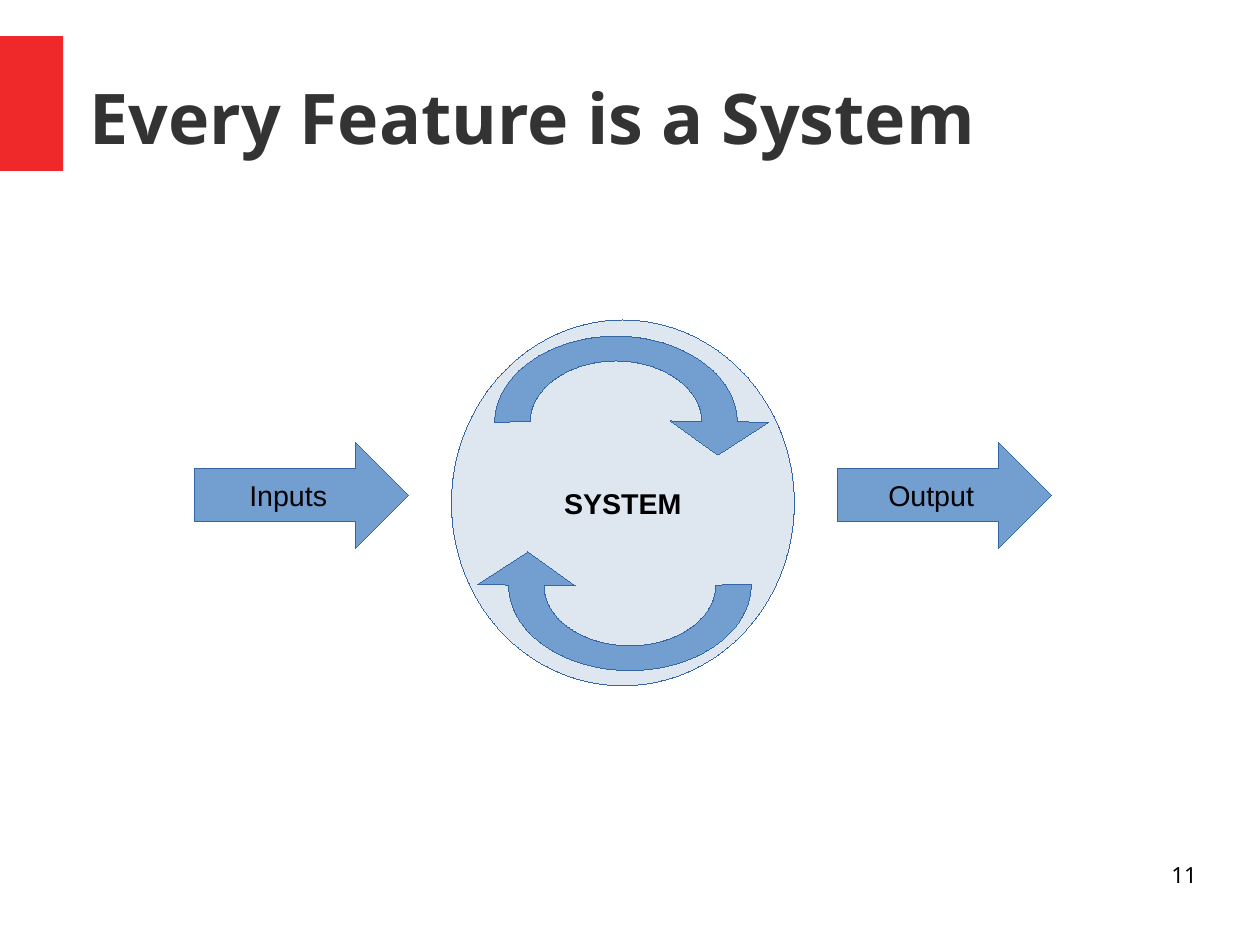
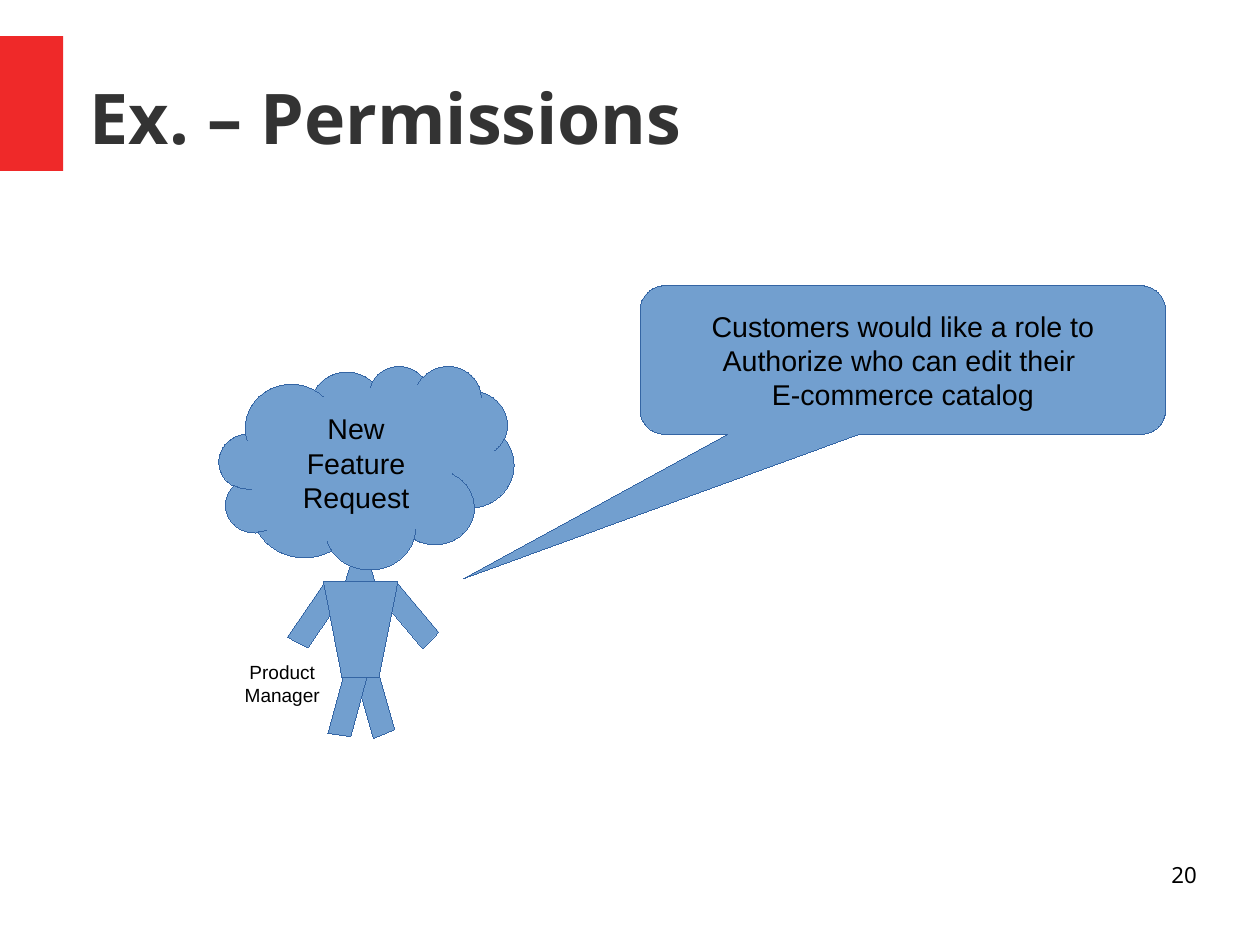
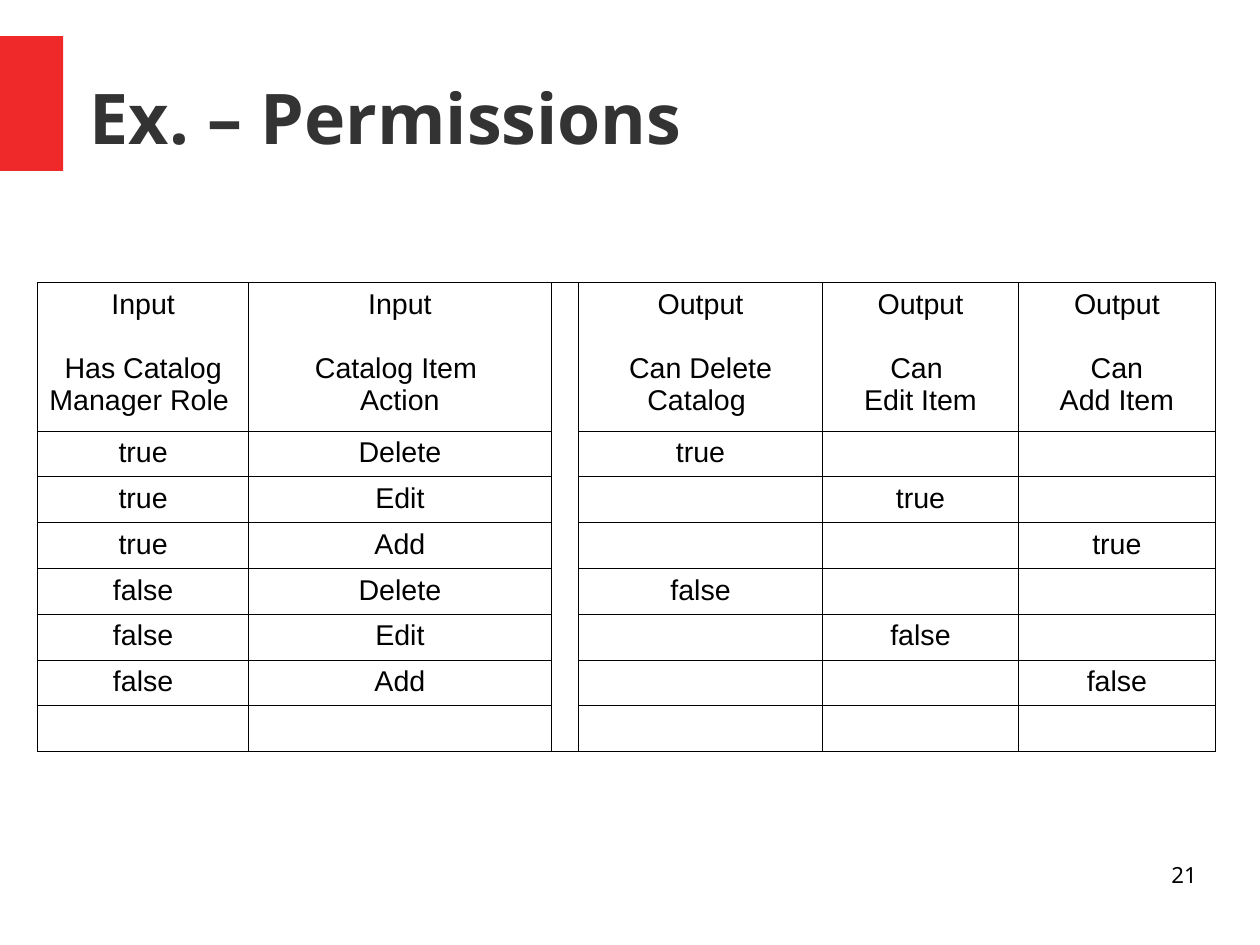
from lxml.etree import SubElement
from pptx import Presentation
from pptx.dml.color import RGBColor
from pptx.enum.shapes import MSO_SHAPE
from pptx.enum.text import MSO_ANCHOR, PP_ALIGN
from pptx.oxml import parse_xml
from pptx.oxml.ns import nsdecls, qn
from pptx.util import Pt

BLUE, PALE_BLUE, EDGE = "729FCF", "DEE6EF", "3465A4"
RED, DARK, BLACK = "EF2929", "333333", "000000"
TITLE_FONT = {"name": "Noto Sans", "size": Pt(44), "bold": True}
NUMBER_FONT = {"name": "Noto Sans", "size": Pt(14), "bold": False}
LABEL_FONT = {"name": "Arial", "size": Pt(18), "bold": False}
NO_MARGINS = dict.fromkeys(
    ("margin_left", "margin_top", "margin_right", "margin_bottom"), 0)
ROUNDNESS = 0.55


def color(hex_string):
    return RGBColor.from_string(hex_string)


def set_all(target, formats):
    for name, value in formats.items():
        setattr(target, name, value)


def place(shape, box):
    sides = ("left", "top", "width", "height")
    set_all(shape, dict(zip(sides, map(Pt, box))))


def write(frame, lines, font, align=PP_ALIGN.CENTER, ink=BLACK):
    """Fill a text frame with one paragraph per line."""
    for index, line in enumerate(lines):
        paragraph = frame.paragraphs[0] if index == 0 else frame.add_paragraph()
        paragraph.alignment = align
        run = paragraph.add_run()
        run.text = line
        set_all(run.font, font)
        run.font.color.rgb = color(ink)


def border(cell, width=0.57):
    properties = cell._tc.get_or_add_tcPr()
    for index, side in enumerate("LRTB"):
        line = parse_xml(f'<a:ln{side} {nsdecls("a")} w="{Pt(width)}"/>')
        fill = SubElement(line, qn("a:solidFill"))
        SubElement(fill, qn("a:srgbClr"), val=BLACK)
        properties.insert(index, line)


def bend(shape, curves):
    """Turn segments into quarter ellipses; curves maps index to first axis."""
    path = next(shape._element.iter(qn("a:path")))
    segments = [step for step in path if step.tag != qn("a:close")]
    corners = [(int(step[0].get("x")), int(step[0].get("y")))
               for step in segments]
    for index, axis in curves.items():
        (x0, y0), (x1, y1) = corners[index:index + 2]
        dx, dy = round(ROUNDNESS * (x1 - x0)), round(ROUNDNESS * (y1 - y0))
        if axis == "vertical":
            controls = [(x0, y0 + dy), (x1 - dx, y1)]
        else:
            controls = [(x0 + dx, y0), (x1, y1 - dy)]
        segment = segments[index + 1]
        segment.clear()
        curve = SubElement(path, qn("a:cubicBezTo"))
        for x, y in controls + [(x1, y1)]:
            SubElement(curve, qn("a:pt"), x=str(x), y=str(y))
        path.replace(segment, curve)


class Deck:
    """Holds the presentation, its style and the current slide."""

    def __init__(self):
        self.presentation = Presentation()
        self.presentation.slide_width = Pt(793.7)
        self.presentation.slide_height = Pt(595.3)
        self.slide = None

    def add_slide(self, title, number):
        layout = self.presentation.slide_layouts[5]
        self.slide = self.presentation.slides.add_slide(layout)
        self.shape(MSO_SHAPE.RECTANGLE, (0, 22.7, 39.8, 85), RED, edge=None)
        heading = self.slide.shapes.title
        place(heading, (56.5, 23.7, 697, 99.4))
        set_all(heading.text_frame, NO_MARGINS | {
            "vertical_anchor": MSO_ANCHOR.MIDDLE, "word_wrap": True})
        write(heading.text_frame, [title], TITLE_FONT, PP_ALIGN.LEFT, DARK)
        self.text((569, 542.4, 185, 41), [number], NUMBER_FONT,
                  PP_ALIGN.RIGHT, NO_MARGINS | {"word_wrap": True})

    def paint(self, shape, fill, edge):
        shape.shadow.inherit = False
        shape.fill.solid()
        shape.fill.fore_color.rgb = color(fill)
        if edge:
            shape.line.color.rgb = color(edge)
            # The width setter drops a zero, so the hairline is set in XML.
            shape._element.spPr.find(qn("a:ln")).set("w", "0")
        else:
            shape.line.fill.background()

    def shape(self, kind, box, fill=BLUE, lines=(), font=LABEL_FONT,
              edge=EDGE, adjustments=(), rotation=0):
        shape = self.slide.shapes.add_shape(kind, *map(Pt, box))
        self.paint(shape, fill, edge)
        shape.rotation = rotation
        for index, value in enumerate(adjustments):
            shape.adjustments[index] = value
        set_all(shape.text_frame, {
            "word_wrap": False, "vertical_anchor": MSO_ANCHOR.MIDDLE})
        write(shape.text_frame, lines, font)

    def outline(self, points):
        corners = [(Pt(x), Pt(y)) for x, y in points]
        builder = self.slide.shapes.build_freeform(*corners[0])
        builder.add_line_segments(corners[1:], close=True)
        shape = builder.convert_to_shape()
        self.paint(shape, BLUE, EDGE)
        return shape

    def text(self, box, lines, font, align, frame_formats):
        textbox = self.slide.shapes.add_textbox(*map(Pt, box))
        set_all(textbox.text_frame, frame_formats)
        write(textbox.text_frame, lines, font, align)

    def table(self, left, top, widths, heights, rows):
        box = (left, top, sum(widths), sum(heights))
        table = self.slide.shapes.add_table(
            len(rows), len(widths), *map(Pt, box)).table
        set_all(table, {"first_row": False, "horz_banding": False})
        for column, width in zip(table.columns, widths):
            column.width = Pt(width)
        for row, height, texts in zip(table.rows, heights, rows):
            row.height = Pt(height)
            for cell, lines in zip(row.cells, texts):
                border(cell)
                cell.fill.background()
                write(cell.text_frame, lines, LABEL_FONT)
        return table


def add_system(deck):
    deck.add_slide("Every Feature is a System", "11")
    deck.shape(MSO_SHAPE.OVAL, (284.4, 201.6, 216, 230.4), PALE_BLUE,
               ["SYSTEM"], LABEL_FONT | {"bold": True})
    for left, label in ((122.4, "Inputs"), (527.4, "Output")):
        deck.shape(MSO_SHAPE.RIGHT_ARROW, (left, 278.5, 135, 67), lines=[label])
    inner = [(442.1, 265.6), (388, 227.4), (334, 265.6)]
    outer = [(311.6, 266), (388, 211.8), (464.4, 265.6)]
    head = [(483.8, 266.2), (452.2, 286.6), (422.3, 265.2)]
    cycle = inner + outer + head
    turned = [(784.8 - x, 634.2 - y) for x, y in cycle]
    for points in (cycle, turned):
        bend(deck.outline(points), {0: "vertical", 1: "horizontal",
                                    3: "vertical", 4: "horizontal"})


def add_request(deck):
    deck.add_slide("Ex. – Permissions", "20")
    deck.outline([(236.2, 366.8), (217.4, 366.8), (222.5, 350), (231.8, 350)])
    limbs = ((226.6, 422, 157.4), (209.5, 422.6, 8.5),
             (248.4, 367.2, 133.3), (189.4, 367.2, 27.6))
    for left, top, rotation in limbs:
        deck.shape(MSO_SHAPE.PARALLELOGRAM, (left, top, 19.4, 41),
                   adjustments=[0.25], rotation=rotation)
    deck.outline([(203.8, 366.5), (250.6, 366.5), (238.6, 427), (215.5, 427)])
    deck.shape(MSO_SHAPE.CLOUD, (138, 230.4, 185.8, 128.2),
               lines=["New", "Feature", "Request"])
    width, height = 331.2, 93.6
    deck.shape(MSO_SHAPE.ROUNDED_RECTANGULAR_CALLOUT,
               (403.2, 180, width, height),
               lines=["Customers would like a role to",
                      "Authorize who can edit their ",
                      "E-commerce catalog"],
               adjustments=[-277 / width, 137.8 / height, 1 / 6])
    deck.text((146.9, 412.6, 61.9, 33.8), ["Product", "Manager"],
              LABEL_FONT | {"size": Pt(12)}, PP_ALIGN.CENTER,
              {"word_wrap": False})


def add_permissions(deck):
    deck.add_slide("Ex. – Permissions", "21")
    actions = ("Delete", "Edit", "Add")
    rows = [[["Input", "Has Catalog Manager Role "],
             ["Input", "Catalog Item ", "Action"],
             [],
             ["Output", "Can Delete Catalog "],
             ["Output", "Can ", "Edit Item"],
             ["Output", " Can ", "Add Item"]]]
    for role in ("true", "false"):
        for action in actions:
            results = [[role] if action == other else [] for other in actions]
            rows.append([[role], [action], [], *results])
    rows.append([[]] * 6)
    table = deck.table(23.8, 177.9, (132.7, 190.8, 17, 153.5, 123.6, 123.9),
                       [93.7] + [28.8] * 7, rows)
    for cell in table.rows[0].cells:
        if cell.text_frame.text:
            cell.text_frame.paragraphs[0].space_after = Pt(20.5)
    table.cell(0, 2).merge(table.cell(7, 2))


def main():
    deck = Deck()
    add_system(deck)
    add_request(deck)
    add_permissions(deck)
    deck.presentation.save("out.pptx")


if __name__ == "__main__":
    main()
